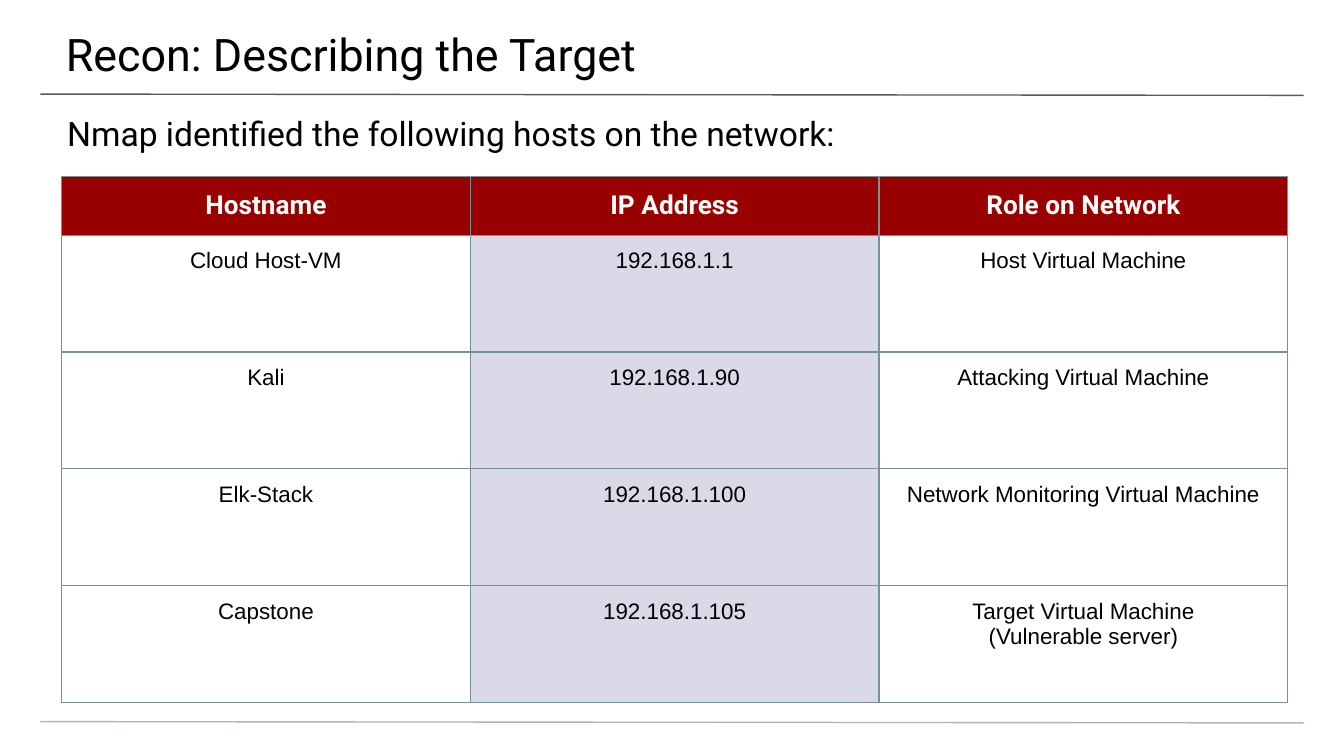
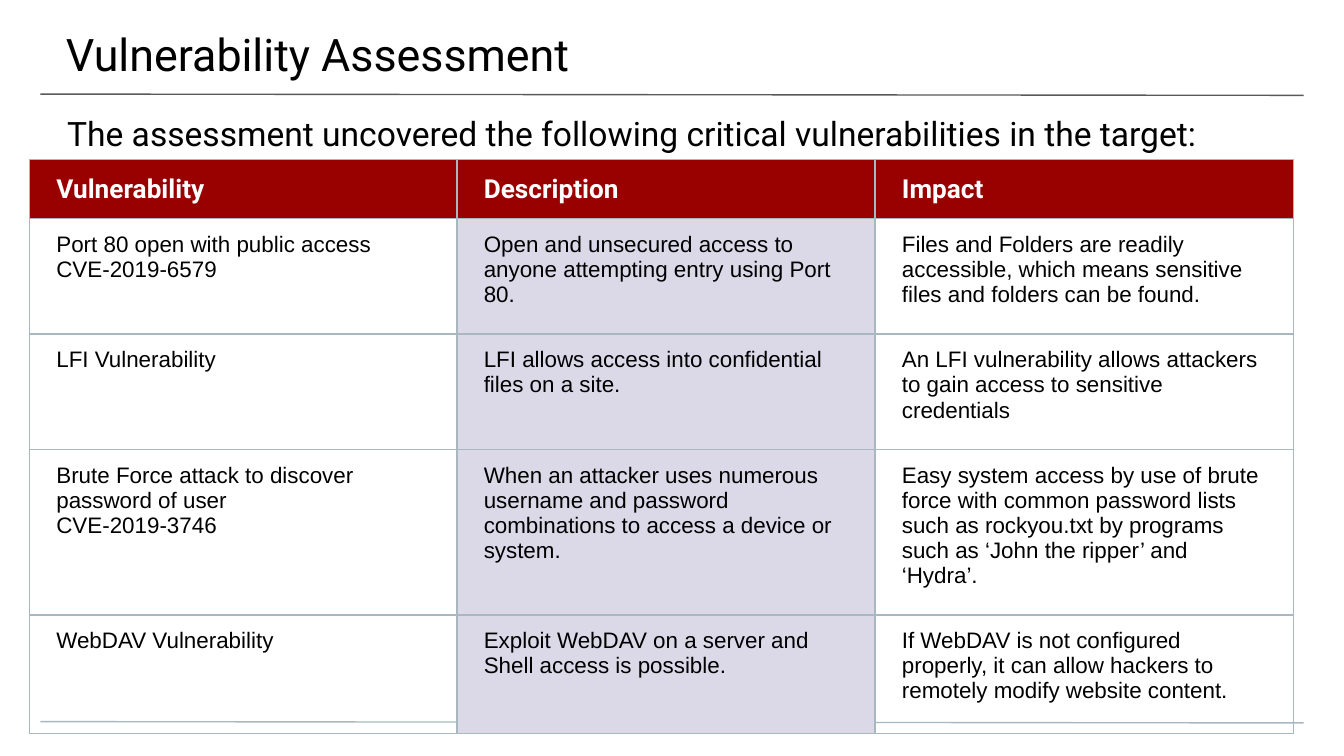
"""Build two security report slides, each with a title, a lead line and a table."""
from lxml import etree
from pptx import Presentation
from pptx.dml.color import RGBColor
from pptx.enum.shapes import MSO_CONNECTOR
from pptx.enum.text import MSO_ANCHOR, PP_ALIGN
from pptx.oxml.ns import qn
from pptx.util import Pt

LINE = MSO_CONNECTOR.STRAIGHT
TOP, MIDDLE = MSO_ANCHOR.TOP, MSO_ANCHOR.MIDDLE
LEFT, CENTER = PP_ALIGN.LEFT, PP_ALIGN.CENTER

COLORS = {
    "ink": "000000",
    "white": "FFFFFF",
    "head": "990000",
    "tint": "DBD9E8",
    "rule": "595959",
    "mist": "A9B7C0",
    "slate": "78909C",
}
HEAD_FONT, BODY_FONT = "Roboto", "Arial"
LINE_WIDTH = 0.75

HOSTS = [
    ["Hostname", "IP Address", "Role on Network"],
    ["Cloud Host-VM", "192.168.1.1", "Host Virtual Machine"],
    ["Kali", "192.168.1.90", "Attacking Virtual Machine"],
    ["Elk-Stack", "192.168.1.100", "Network Monitoring Virtual Machine"],
    ["Capstone", "192.168.1.105", "Target Virtual Machine\n(Vulnerable server)"],
]
FLAWS = [
    ["Vulnerability", "Description", "Impact"],
    ["Port 80 open with public access CVE-2019-6579",
     "Open and unsecured access to anyone attempting entry using Port 80.",
     "Files and Folders are readily accessible, which means sensitive files "
     "and folders can be found."],
    ["LFI Vulnerability",
     "LFI allows access into confidential files on a site.",
     "An LFI vulnerability allows attackers to gain access to sensitive credentials"],
    ["Brute Force attack to discover password of user\nCVE-2019-3746",
     "When an attacker uses numerous username and password combinations to "
     "access a device or system.",
     "Easy system access by use of brute force with common password lists such "
     "as rockyou.txt by programs such as ‘John the ripper’ and ‘Hydra’."],
    ["WebDAV Vulnerability",
     "Exploit WebDAV on a server and Shell access is possible.",
     "If WebDAV is not configured properly, it can allow hackers to remotely "
     "modify website content."],
]


class Deck:
    """Hold the shared style and the current slide."""

    def __init__(self):
        self.prs = Presentation()
        self.prs.slide_width, self.prs.slide_height = Pt(720), Pt(405)
        self.slide = None

    def color(self, name):
        return RGBColor.from_string(COLORS[name])

    def page(self, title, lead):
        self.slide = self.prs.slides.add_slide(self.prs.slide_layouts[6])
        self.rule(50.4, "rule")
        self.rule(386.6, "mist")
        self.text(title, (-0.7, 0, 722, 42), (36, 14.4, 21.6, 7.2), 24)
        self.text(lead, (0, 53.3, 720, 28.8), (36, 7.2, 36, 0), 18)

    def rule(self, y, color):
        line = self.slide.shapes.add_connector(
            LINE, Pt(21.6), Pt(y), Pt(698.4), Pt(y + 0.7))
        line.line.color.rgb = self.color(color)
        line.line.width = Pt(LINE_WIDTH)
        etree.SubElement(line._element.spPr, qn("a:effectLst"))

    def style(self, frame, size, font, color, bold=False, align=LEFT):
        for para in frame.paragraphs:
            para.alignment = align
            para.font.size = Pt(size)
            para.font.name = font
            para.font.bold = bold
            para.font.color.rgb = self.color(color)

    def pad(self, item, sides):
        (item.margin_left, item.margin_top,
         item.margin_right, item.margin_bottom) = map(Pt, sides)

    def text(self, words, box, sides, size):
        frame = self.slide.shapes.add_textbox(*map(Pt, box)).text_frame
        frame.word_wrap = True
        frame.vertical_anchor = TOP
        self.pad(frame, sides)
        frame.text = words
        self.style(frame, size, HEAD_FONT, "ink")

    def border(self, cell, color):
        props = cell._tc.get_or_add_tcPr()
        for side in ("lnL", "lnR", "lnT", "lnB"):
            edge = etree.SubElement(
                props, qn(f"a:{side}"), w=str(Pt(LINE_WIDTH)))
            fill = etree.SubElement(edge, qn("a:solidFill"))
            etree.SubElement(fill, qn("a:srgbClr"), val=COLORS[color])

    def cell(self, cell, words, head, tint, align, edge):
        cell.text = words
        self.pad(cell, (14.4, 7.2, 14.4, 7.2))
        self.border(cell, edge)
        if head or tint:
            cell.fill.solid()
            cell.fill.fore_color.rgb = self.color("head" if head else "tint")
        else:
            cell.fill.background()
        if head:
            cell.vertical_anchor = MIDDLE
            self.style(cell.text_frame, 14, HEAD_FONT, "white", True, align)
        else:
            cell.vertical_anchor = TOP
            self.style(cell.text_frame, 12, BODY_FONT, "ink", False, align)

    def table(self, rows, x, y, widths, heights, align, edge):
        table = self.slide.shapes.add_table(
            len(rows), len(widths), Pt(x), Pt(y),
            Pt(sum(widths)), Pt(sum(heights))).table
        table.horz_banding = table.first_row = False
        for col, width in zip(table.columns, widths):
            col.width = Pt(width)
        for r, (row, height) in enumerate(zip(rows, heights)):
            table.rows[r].height = Pt(height)
            for c, words in enumerate(row):
                self.cell(table.cell(r, c), words, r == 0, c == 1, align, edge)


def main():
    deck = Deck()
    deck.page("Recon: Describing the Target",
              "Nmap identified the following hosts on the network:")
    deck.table(HOSTS, 33, 94.6, [219] * 3, [31.4] + [62.6] * 4, CENTER, "slate")
    deck.page("Vulnerability Assessment",
              "The assessment uncovered the following critical "
              "vulnerabilities in the target:")
    deck.table(FLAWS, 15.8, 85.6, [229, 224, 224],
               [31.4, 62, 62, 88.5, 63.4], LEFT, "mist")
    deck.prs.save("out.pptx")


if __name__ == "__main__":
    main()
